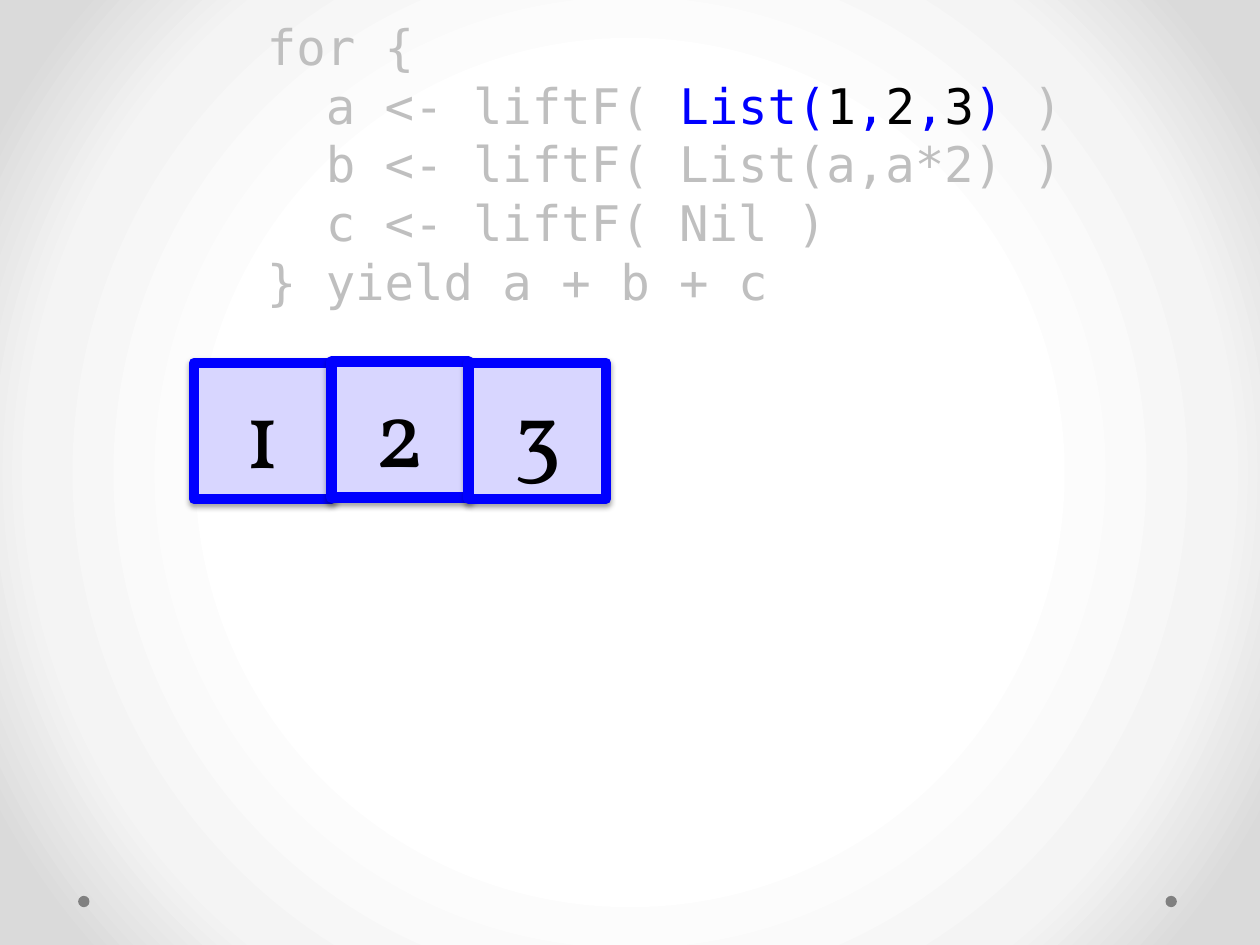
from pptx import Presentation
from pptx import util as u
from pptx.dml.color import RGBColor
from pptx.enum import shapes, text
from pptx.oxml import parse_xml
from pptx.oxml.ns import nsdecls

GREY, BLUE, BLACK = "BFBFBF", "0000FF", "000000"
CODE = [
    [("for {", GREY)],
    [("  a <- liftF( ", GREY), ("List(", BLUE), ("1", BLACK), (",", BLUE),
     ("2", BLACK), (",", BLUE), ("3", BLACK), (") ", BLUE), (")", GREY)],
    [("  b <- liftF( List(a,a*2) )", GREY)],
    [("  c <- liftF( Nil )", GREY)],
    [("} yield a + b + c", GREY)],
]


def rgb(value):
    return RGBColor.from_string(value)


def set_background(s):
    stops = "".join(
        f'<a:gs pos="{pos}000"><a:srgbClr val="{color}"/></a:gs>'
        for pos, color in [(50, "FFFFFF"), (76, "F4F4F4"), (92, "DADADA")])
    s.element.cSld.insert(0, parse_xml(
        f'<p:bg {nsdecls("p", "a")}><p:bgPr><a:gradFill rotWithShape="1">'
        f'<a:gsLst>{stops}</a:gsLst><a:path path="circle">'
        '<a:fillToRect l="50000" t="50000" r="50000" b="50000"/></a:path>'
        '</a:gradFill><a:effectLst/></p:bgPr></p:bg>'))


def add_dots(s, lefts, top, size):
    for left in lefts:
        sp = s.shapes.add_shape(shapes.MSO_SHAPE.OVAL, u.Inches(left),
                                u.Inches(top), u.Inches(size), u.Inches(size))
        sp.shadow.inherit = False
        sp.fill.solid()
        sp.fill.fore_color.rgb = rgb("808080")
        sp.line.fill.background()


def add_code(s, left, top, width, height):
    box = s.shapes.add_textbox(*map(u.Inches, (left, top, width, height)))
    tf = box.text_frame
    tf.word_wrap = True
    tf.auto_size = text.MSO_AUTO_SIZE.SHAPE_TO_FIT_TEXT
    for i, line in enumerate(CODE):
        p = tf.add_paragraph() if i else tf.paragraphs[0]
        p.font.size = u.Pt(28)
        p.font.name = "DejaVu Sans Mono"
        for words, color in line:
            r = p.add_run()
            r.text = words
            r.font.color.rgb = rgb(color)


def add_soft_shadow(sp):
    sp.shadow.inherit = False
    sp.shadow._element.effectLst.append(parse_xml(
        f'<a:outerShdw {nsdecls("a")} blurRad="{u.Pt(3.1)}" '
        f'dist="{u.Pt(1.8)}" dir="5400000" rotWithShape="0">'
        '<a:srgbClr val="000000"><a:alpha val="35000"/></a:srgbClr>'
        '</a:outerShdw>'))


def add_cell(s, label, left, top, width, height):
    sp = s.shapes.add_shape(shapes.MSO_SHAPE.RECTANGLE,
                            *map(u.Inches, (left, top, width, height)))
    sp.fill.solid()
    sp.fill.fore_color.rgb = rgb("D8D6FF")
    sp.line.color.rgb = rgb(BLUE)
    sp.line.width = u.Pt(6)
    add_soft_shadow(sp)
    tf = sp.text_frame
    tf.vertical_anchor = text.MSO_ANCHOR.MIDDLE
    p = tf.paragraphs[0]
    p.text = label
    p.alignment = text.PP_ALIGN.CENTER
    p.font.size = u.Pt(54)
    p.font.name = "Vollkorn"
    p.font.color.rgb = rgb(BLACK)


def add_list(s, left, top, width, height):
    """Draw touching cells; the middle one sits slightly higher."""
    for i, label in enumerate("123"):
        add_cell(s, label, left + i * width, top - 0.01 * (i == 1), width, height)


def main():
    prs = Presentation()
    prs.slide_width, prs.slide_height = u.Inches(10), u.Inches(7.5)
    s = prs.slides.add_slide(prs.slide_layouts[6])
    set_background(s)
    add_dots(s, (9.25, 0.62), 7.11, 0.09)
    add_code(s, 2.02, 0.08, 7.28, 2.46)
    add_list(s, 1.54, 2.88, 1.09, 1.08)
    prs.save("out.pptx")


if __name__ == "__main__":
    main()
